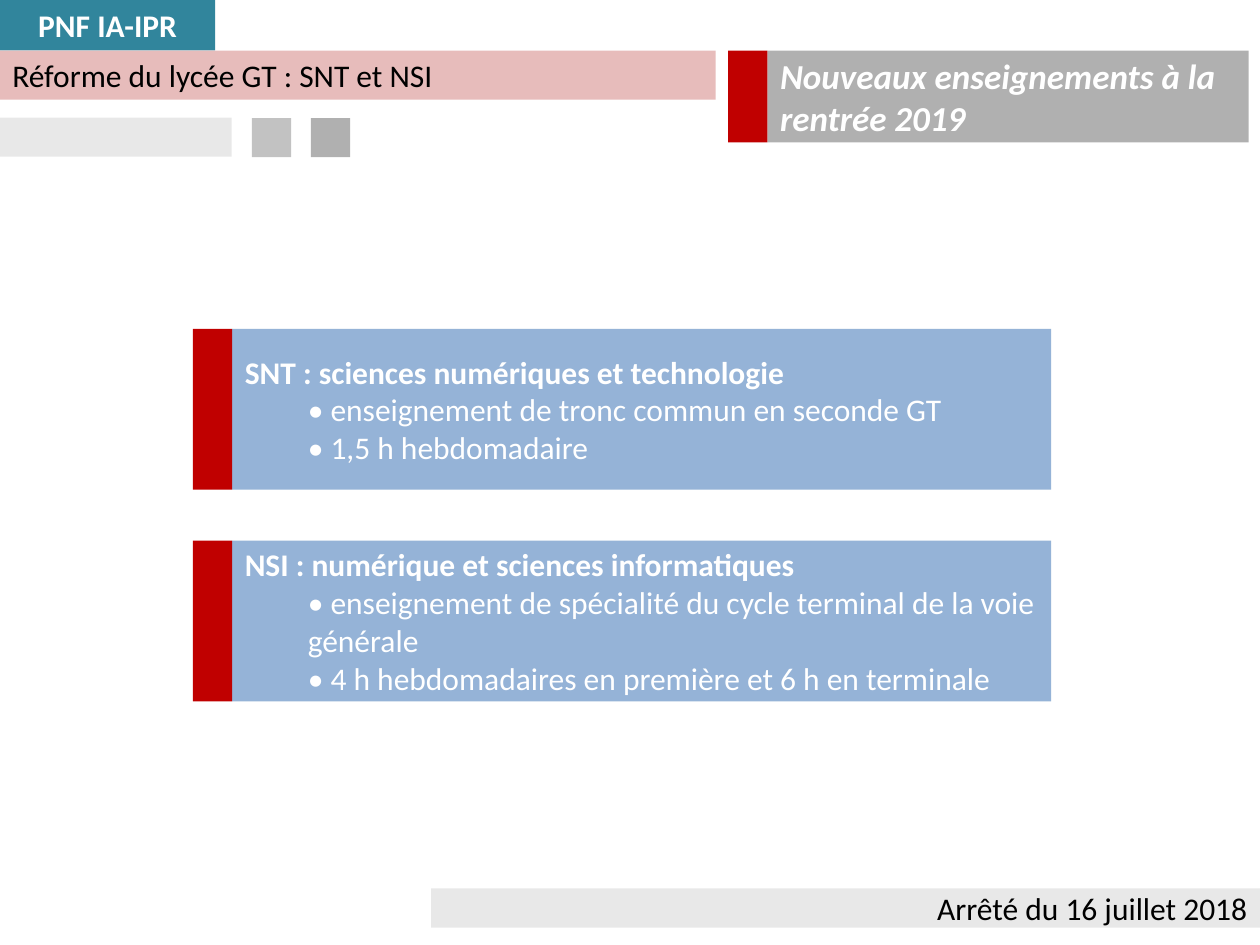
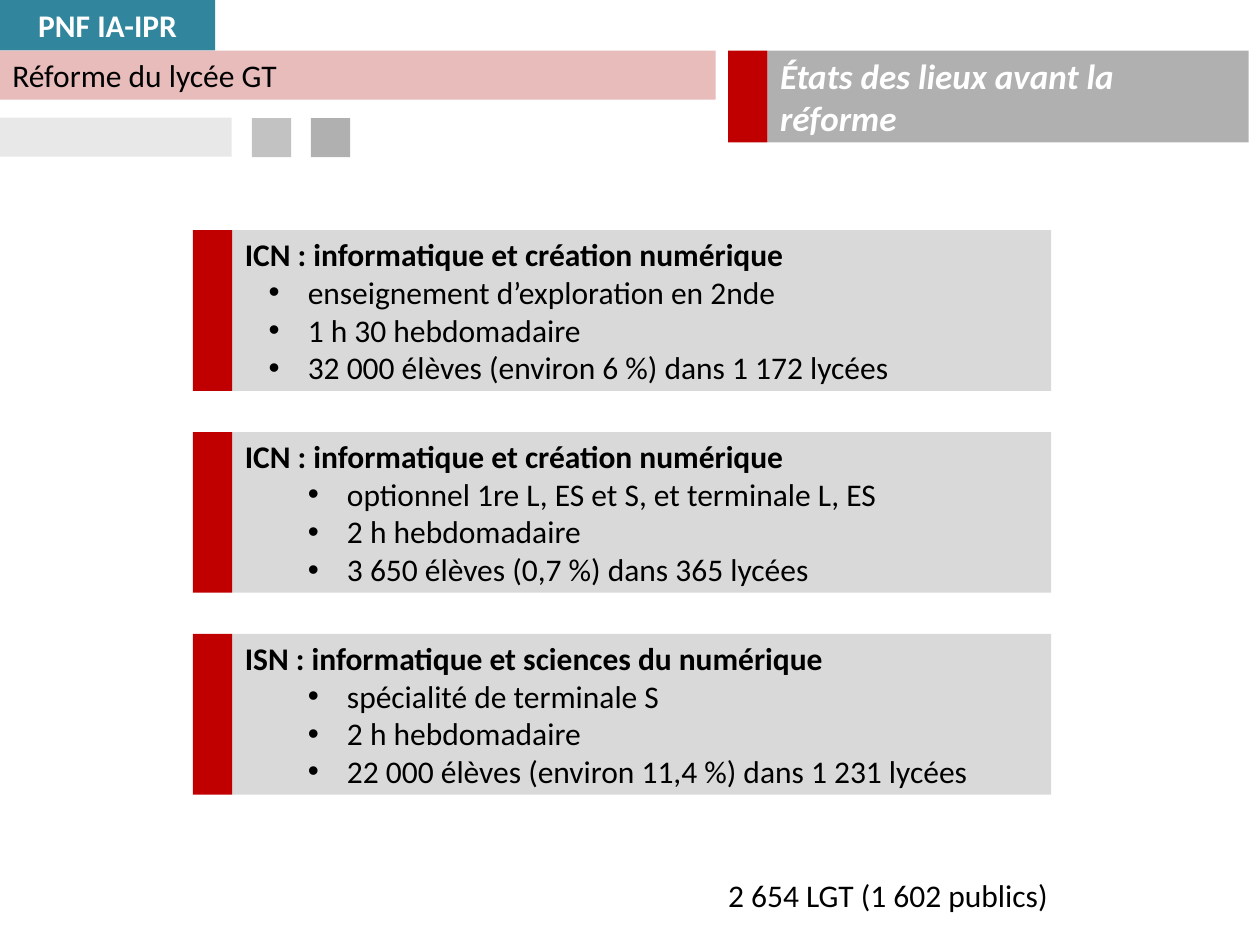
"""Builds two slides on the new computing courses in the French lycée."""
from lxml.etree import SubElement
from pptx import Presentation
from pptx.dml.color import RGBColor
from pptx.enum.shapes import MSO_SHAPE
from pptx.enum.text import MSO_ANCHOR, MSO_AUTO_SIZE, PP_ALIGN
from pptx.oxml.ns import qn
from pptx.util import Cm, Pt

FONT = "Calibri"
BLACK, WHITE, RED, TEAL, PINK = "000000", "FFFFFF", "C00000", "31859C", "D99694"
BLUE, GREY = "95B3D7", "D9D9D9"
COMPARISON_LAYOUT = 4

TITLE_AREA = (15.47, 1.02, 9.7, 1.85)
TAG_AREA = (0, 0, 4.34, 1.02)
BAND_AREA = (0, 1.02, 14.43, 0.99)
FOOTER_AREA = (8.69, 17.91, 16.71, 0.79)
NOTE_AREA = (14.43, 17.53, 7.04, 1.02)
BAR_WIDTH = 0.79
CARD_LEFT, CARD_WIDTH, CARD_HEIGHT = 4.68, 16.51, 3.24
HANGING = 0.79

DECORATION = [
    ((TITLE_AREA[0] - BAR_WIDTH, 1.02, BAR_WIDTH, 1.85), RED, 100),
    ((0, 2.37, 4.67, 0.79), BLACK, 9),
    ((5.08, 2.38, 0.79, 0.79), BLACK, 24),
    ((6.27, 2.38, 0.79, 0.79), BLACK, 31),
]

SLIDES = [
    {
        "title": "Nouveaux enseignements à la rentrée 2019",
        "band": "Réforme du lycée GT : SNT et NSI",
        "footer": "Arrêté du 16 juillet 2018",
        "card_fill": BLUE, "card_text": WHITE, "bullet": None,
        "first_top": 6.63, "step": 4.27,
        "cards": [
            ("SNT : sciences numériques et technologie", 1.27, [
                "• enseignement de tronc commun en seconde GT",
                "• 1,5 h hebdomadaire"]),
            ("NSI : numérique et sciences informatiques", 1.27, [
                "• enseignement de spécialité du cycle terminal de la voie générale",
                "• 4 h hebdomadaires en première et 6 h en terminale"]),
        ],
    },
    {
        "title": "États des lieux avant la réforme",
        "band": "Réforme du lycée GT",
        "note": "2 654 LGT (1 602 publics)",
        "card_fill": GREY, "card_text": BLACK, "bullet": "•",
        "first_top": 4.64, "step": 4.07,
        "cards": [
            ("ICN : informatique et création numérique", 1.27, [
                "enseignement d’exploration en 2nde",
                "1 h 30 hebdomadaire",
                "32 000 élèves (environ 6 %) dans 1 172 lycées"]),
            ("ICN : informatique et création numérique", 2.06, [
                "optionnel 1re L, ES et S, et terminale L, ES",
                "2 h hebdomadaire",
                "3 650 élèves (0,7 %) dans 365 lycées"]),
            ("ISN : informatique et sciences du numérique", 2.06, [
                "spécialité de terminale S",
                "2 h hebdomadaire",
                "22 000 élèves (environ 11,4 %) dans 1 231 lycées"]),
        ],
    },
]


def color(value):
    return RGBColor.from_string(value)


def paint(shape, fill, opacity=100):
    shape.shadow.inherit = False
    shape.fill.solid()
    shape.fill.fore_color.rgb = color(fill)
    shape.line.fill.background()
    if opacity < 100:
        tint = shape.element.spPr.find(qn("a:solidFill"))[0]
        SubElement(tint, qn("a:alpha"), val=str(opacity * 1000))


def place(shape, area):
    shape.left, shape.top, shape.width, shape.height = map(Cm, area)


def add_block(page, area, fill, opacity=100):
    block = page.shapes.add_shape(MSO_SHAPE.RECTANGLE, *map(Cm, area))
    paint(block, fill, opacity)
    return block


def prepare_frame(shape, wrap=True):
    frame = shape.text_frame
    frame.word_wrap = wrap
    frame.auto_size = MSO_AUTO_SIZE.NONE
    frame.vertical_anchor = MSO_ANCHOR.MIDDLE
    return frame


def write(para, text, ink, size=18, bold=False, italic=False, align=PP_ALIGN.LEFT):
    para.alignment = align
    para.space_before = para.space_after = Pt(0)
    span = para.add_run()
    span.text = text
    font = span.font
    font.name, font.size, font.bold, font.italic = FONT, Pt(size), bold, italic
    font.color.rgb = color(ink)


def set_bullet(para, margin, hanging, bullet):
    properties = para._p.get_or_add_pPr()
    properties.set("marL", str(Cm(margin)))
    properties.set("indent", str(-Cm(hanging)))
    if bullet:
        SubElement(properties, qn("a:buFont"), typeface="Arial")
        SubElement(properties, qn("a:buChar"), char=bullet)
    else:
        SubElement(properties, qn("a:buNone"))


def fill_card(page, box, top, card, content):
    heading, margin, items = card
    ink, bullet = content["card_text"], content["bullet"]
    place(box, (CARD_LEFT, top, CARD_WIDTH, CARD_HEIGHT))
    paint(box, content["card_fill"])
    frame = prepare_frame(box)
    write(frame.paragraphs[0], heading, ink, bold=True)
    set_bullet(frame.paragraphs[0], 0, 0, None)
    for item in items:
        para = frame.add_paragraph()
        para.level = 1
        write(para, item, ink)
        set_bullet(para, margin, HANGING if bullet else 0, bullet)
    add_block(page, (CARD_LEFT - BAR_WIDTH, top, BAR_WIDTH, CARD_HEIGHT), RED)


def add_header(page, content):
    title = page.shapes.title
    place(title, TITLE_AREA)
    paint(title, BLACK, 31)
    write(prepare_frame(title).paragraphs[0], content["title"], WHITE, 20, True, True)
    tag = add_block(page, TAG_AREA, TEAL)
    write(prepare_frame(tag).paragraphs[0], "PNF IA-IPR", WHITE, bold=True, align=PP_ALIGN.CENTER)
    band = add_block(page, BAND_AREA, PINK, 63)
    write(prepare_frame(band).paragraphs[0], content["band"], BLACK)
    for area, fill, opacity in DECORATION:
        add_block(page, area, fill, opacity)


def build_page(deck, content):
    page = deck.slides.add_slide(deck.slide_layouts[COMPARISON_LAYOUT])
    bodies = [box for box in page.placeholders if box.placeholder_format.idx > 0]
    cards = content["cards"]
    add_header(page, content)
    for index, (box, card) in enumerate(zip(bodies, cards)):
        fill_card(page, box, content["first_top"] + index * content["step"], card, content)
    for box in bodies[len(cards):]:
        box.element.getparent().remove(box.element)
    if "footer" in content:
        footer = add_block(page, FOOTER_AREA, BLACK, 9)
        write(prepare_frame(footer).paragraphs[0], content["footer"], BLACK, align=PP_ALIGN.RIGHT)
    if "note" in content:
        note = page.shapes.add_textbox(*map(Cm, NOTE_AREA))
        write(prepare_frame(note, wrap=False).paragraphs[0], content["note"], BLACK)


def main():
    deck = Presentation()
    deck.slide_width, deck.slide_height = Cm(25.4), Cm(19.05)
    for content in SLIDES:
        build_page(deck, content)
    deck.save("out.pptx")


if __name__ == "__main__":
    main()
